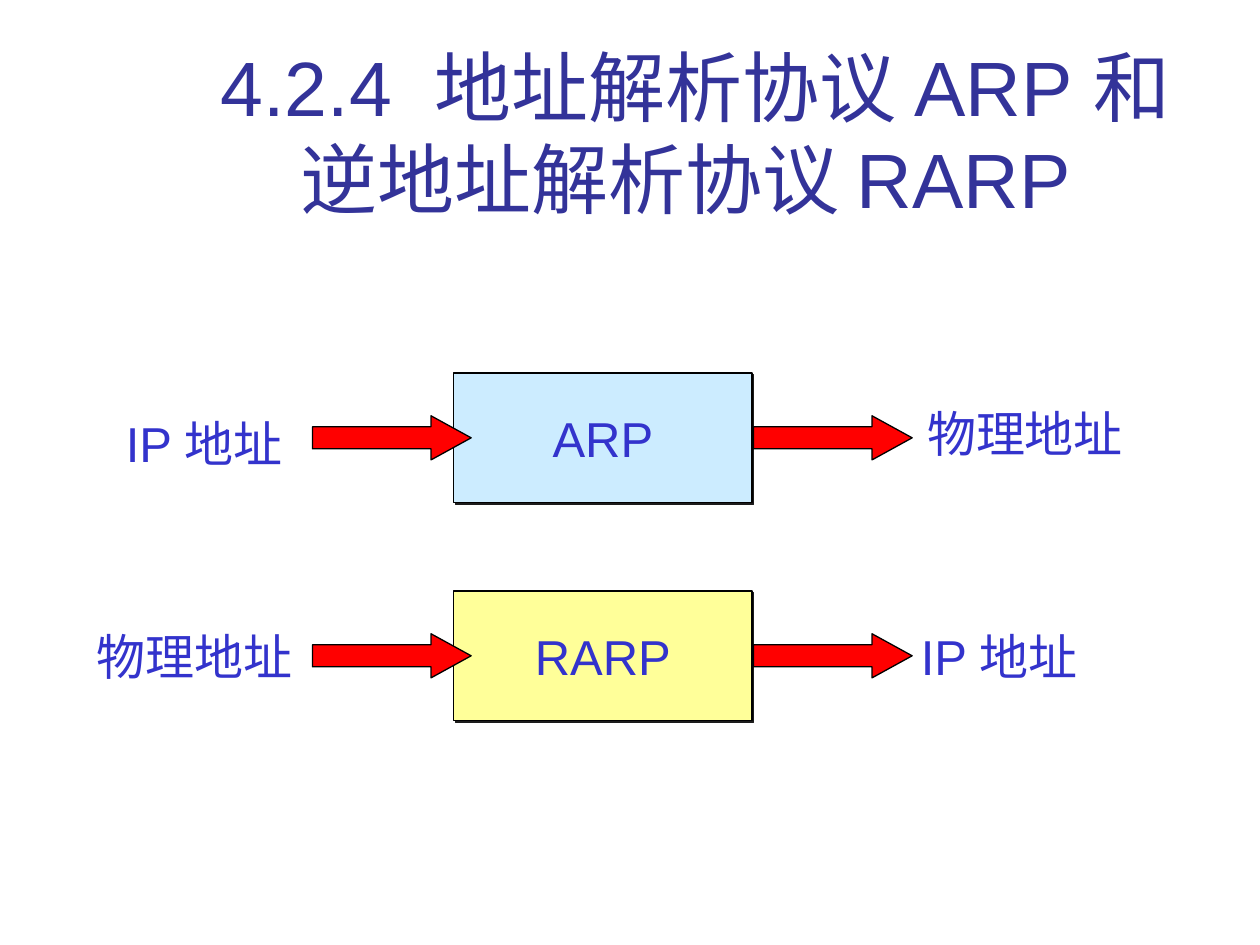
import pptx
import pptx.util
import pptx.dml.color
import pptx.enum.shapes
import pptx.enum.text
import pptx.oxml
import pptx.oxml.ns

RGB = pptx.dml.color.RGBColor
SHAPE = pptx.enum.shapes.MSO_SHAPE
ALIGN = pptx.enum.text.PP_ALIGN
ANCHOR = pptx.enum.text.MSO_ANCHOR

NAVY = RGB(0x33, 0x33, 0x99)
BLUE = RGB(0x33, 0x33, 0xCC)
SKY = RGB(0xCC, 0xEC, 0xFF)
YELLOW = RGB(0xFF, 0xFF, 0x99)
RED = RGB(0xFF, 0x00, 0x00)
BLACK = RGB(0x00, 0x00, 0x00)

COLS, ROWS = 1000, 750
CELL = pptx.util.Inches(0.01)
FONT = "Arial"
SHADOW = (
    f'<a:effectLst {pptx.oxml.ns.nsdecls("a")}>'
    '<a:outerShdw dist="17780" dir="2700000" algn="ctr" rotWithShape="0">'
    '<a:srgbClr val="1C1C1C"/></a:outerShdw></a:effectLst>'
)


def place(box, x, y, wide, high):
    return [n * CELL for n in (box[0] + x, box[1] + y, wide, high)]


def write(shape, text, size, color, align, anchor, wrap=False):
    frame = shape.text_frame
    frame.text = text
    frame.word_wrap = wrap
    frame.vertical_anchor = anchor
    for para in frame.paragraphs:
        para.alignment = align
        for run in para.runs:
            run.font.name = FONT
            run.font.size = pptx.util.Pt(size)
            run.font.color.rgb = color


def block(slide, kind, spot, fill):
    shape = slide.shapes.add_shape(kind, *spot)
    shape.shadow.inherit = False
    shape.fill.solid()
    shape.fill.fore_color.rgb = fill
    shape.line.color.rgb = BLACK
    shape.line.width = pptx.util.Pt(0.75)
    return shape


def title(slide, box, text):
    shape = slide.shapes.add_textbox(*place(box, 0, 0, box[2], box[3]))
    write(shape, text, 44, NAVY, ALIGN.CENTER, ANCHOR.BOTTOM, True)


def flow(slide, box, name, fill, labels):
    for text, x, y, wide in labels:
        label = slide.shapes.add_textbox(*place(box, x, y, wide, 57))
        write(label, text, 28, BLUE, ALIGN.LEFT, ANCHOR.TOP)

    core = block(slide, SHAPE.RECTANGLE, place(box, 293, 0, 237, box[3]), fill)
    props = core._element.spPr
    props.remove(props.find(pptx.oxml.ns.qn("a:effectLst")))
    props.append(pptx.oxml.parse_xml(SHADOW))
    write(core, name, 28, BLUE, ALIGN.CENTER, ANCHOR.MIDDLE)

    for x in (181, 531):
        spot = place(box, x, (box[3] - 35) / 2, 126, 35)
        arrow = block(slide, SHAPE.RIGHT_ARROW, [int(n) for n in spot], RED)
        arrow.adjustments[0] = 0.5
        arrow.adjustments[1] = 0.91


def main():
    deck = pptx.Presentation()
    deck.slide_width, deck.slide_height = COLS * CELL, ROWS * CELL
    slide = deck.slides.add_slide(deck.slide_layouts[6])

    title(slide, (126, 23, 852, 160),
          "4.2.4  地址解析协议 ARP 和\v逆地址解析协议 RARP ")
    flow(slide, (67, 296, 834, 103), "ARP", SKY,
         [("IP 地址", 23, 27, 154), ("物理地址", 659, 19, 175)])
    flow(slide, (67, 469, 834, 103), "RARP", YELLOW,
         [("物理地址", 0, 23, 175), ("IP 地址", 654, 23, 154)])

    deck.save("out.pptx")


if __name__ == "__main__":
    main()
